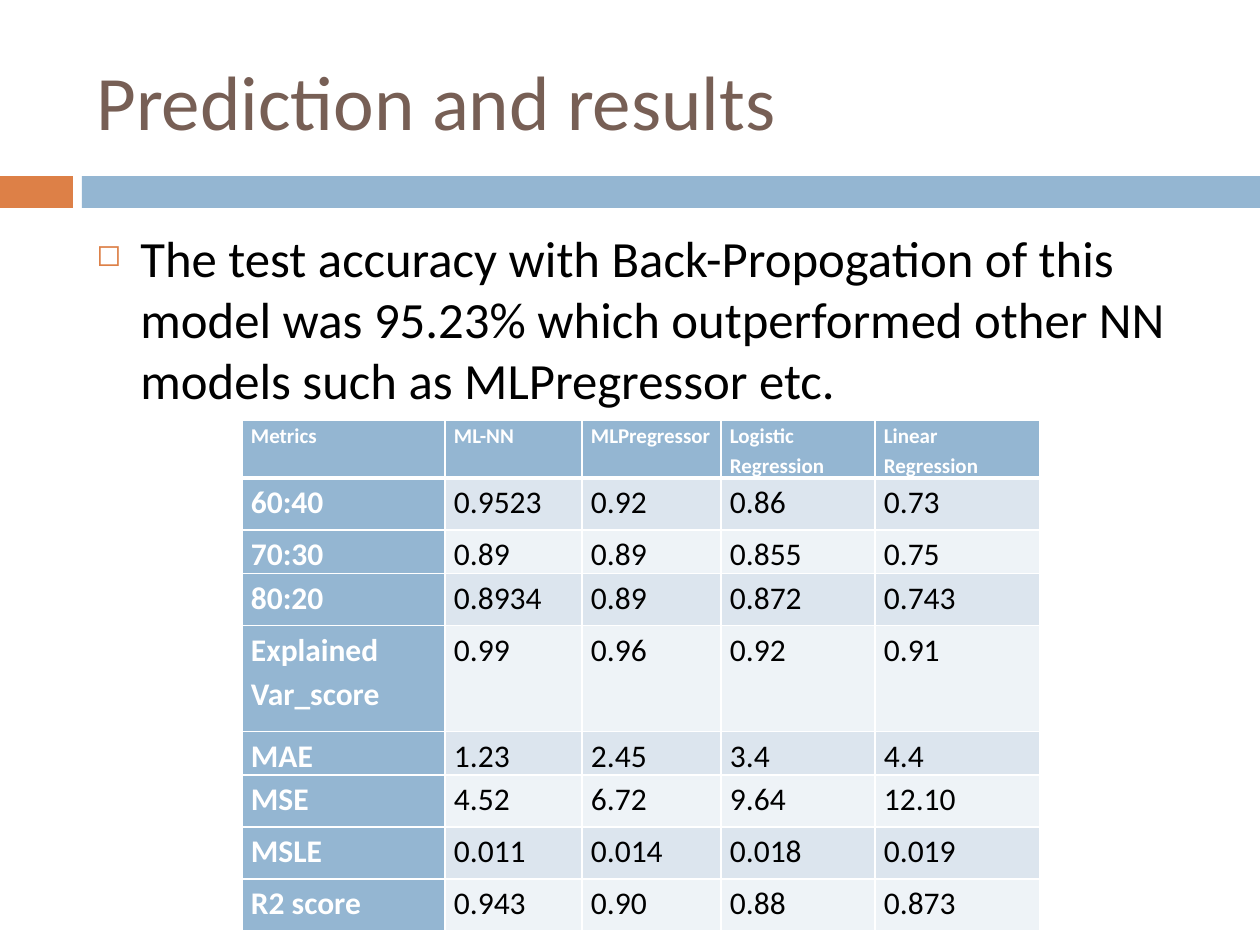
from lxml.etree import SubElement
from pptx import Presentation
from pptx.dml.color import RGBColor
from pptx.enum.shapes import MSO_SHAPE as Shape
from pptx.enum.text import MSO_ANCHOR as Anchor
from pptx.oxml import parse_xml
from pptx.oxml.ns import nsdecls, qn
from pptx.util import Emu, Pt

PX_PER_INCH = 126
BROWN = RGBColor(0x77, 0x5F, 0x55)
ORANGE = RGBColor(0xDD, 0x80, 0x47)
BLUE = RGBColor(0x94, 0xB6, 0xD2)
BAND_DARK = RGBColor(0xDC, 0xE5, 0xEE)
BAND_LIGHT = RGBColor(0xEE, 0xF3, 0xF7)
WHITE = RGBColor(0xFF, 0xFF, 0xFF)
BLACK = RGBColor(0x00, 0x00, 0x00)

COLUMN_WIDTHS = [203, 137, 139, 154, 165]
ROW_HEIGHTS = [52, 52, 38, 52, 106, 38, 52, 52, 52]
TABLE_HEIGHT = 512
RESULTS = [
    ["Metrics", "ML-NN", "MLPregressor", "Logistic Regression", "Linear Regression"],
    ["60:40", "0.9523", "0.92", "0.86", "0.73"],
    ["70:30", "0.89", "0.89", "0.855", "0.75"],
    ["80:20", "0.8934", "0.89", "0.872", "0.743"],
    ["Explained Var_score", "0.99", "0.96", "0.92", "0.91"],
    ["MAE", "1.23", "2.45", "3.4", "4.4"],
    ["MSE", "4.52", "6.72", "9.64", "12.10"],
    ["MSLE", "0.011", "0.014", "0.018", "0.019"],
    ["R2 score", "0.943", "0.90", "0.88", "0.873"],
]


def px(length):
    return Emu(round(length * 914400 / PX_PER_INCH))


def apply(target, values):
    for name, value in values.items():
        setattr(target, name, value)


class SlideBuilder:
    font = "Calibri"

    def __init__(self, page):
        self.page = page

    def span(self, para, text, size, color, bold=False):
        span = para.add_run()
        span.text = text
        apply(span.font, {"name": self.font, "size": Pt(size), "bold": bold})
        span.font.color.rgb = color

    def bar(self, left, top, width, height, color):
        box = self.page.shapes.add_shape(
            Shape.RECTANGLE, px(left), px(top), px(width), px(height))
        box.shadow.inherit = False
        box.fill.solid()
        box.fill.fore_color.rgb = color
        box.line.fill.background()

    def text(self, left, top, width, height, text, size, color, anchor=Anchor.TOP):
        box = self.page.shapes.add_textbox(px(left), px(top), px(width), px(height))
        apply(box.text_frame, {"word_wrap": True, "vertical_anchor": anchor})
        para = box.text_frame.paragraphs[0]
        self.span(para, text, size, color)
        return para

    def bullet(self, para, mark, color, percent, indent):
        para.space_before = Pt(7)
        props = para._p.get_or_add_pPr()
        props.set("marL", str(px(indent)))
        props.set("indent", str(-px(indent)))
        bullet_color = SubElement(props, qn("a:buClr"))
        SubElement(bullet_color, qn("a:srgbClr"), val=str(color))
        SubElement(props, qn("a:buSzPct"), val=str(percent * 1000))
        SubElement(props, qn("a:buChar"), char=mark)

    def borders(self, cell, color, top, bottom):
        props = cell._tc.get_or_add_tcPr()
        widths = {"lnL": 1, "lnR": 1, "lnT": top, "lnB": bottom}
        for index, (side, width) in enumerate(widths.items()):
            props.insert(index, parse_xml(
                f'<a:{side} {nsdecls("a")} w="{Pt(width)}"><a:solidFill>'
                f'<a:srgbClr val="{color}"/></a:solidFill></a:{side}>'))

    def cell(self, cell, text, row, column):
        header, label = row == 0, row == 0 or column == 0
        band = BAND_DARK if row % 2 else BAND_LIGHT
        apply(cell, {"margin_left": px(9), "margin_right": px(9),
                     "margin_top": 0, "margin_bottom": 0})
        cell.fill.solid()
        cell.fill.fore_color.rgb = BLUE if label else band
        self.borders(cell, WHITE, top=3 if row == 1 else 1, bottom=3 if header else 1)
        para = cell.text_frame.paragraphs[0]
        para.line_spacing = 1.15
        self.span(para, text, 12 if header else 18, WHITE if label else BLACK, label)

    def table(self, left, top, height, widths, heights, rows):
        frame = self.page.shapes.add_table(
            len(rows), len(widths), px(left), px(top), px(sum(widths)), px(height))
        table = frame.table
        for column, width in zip(table.columns, widths):
            column.width = px(width)
        for row, row_height in zip(table.rows, heights):
            row.height = px(row_height)
        frame.height = px(height)
        for r, values in enumerate(rows):
            for c, value in enumerate(values):
                self.cell(table.cell(r, c), value, r, c)


def main():
    deck = Presentation()
    apply(deck, {"slide_width": px(1260), "slide_height": px(945)})
    builder = SlideBuilder(deck.slides.add_slide(deck.slide_layouts[6]))

    # Divider under the title
    builder.bar(0, 176, 73, 32, ORANGE)
    builder.bar(82, 176, 1178, 32, BLUE)

    # Title and finding
    builder.text(84, 32, 1124, 136, "Prediction and results", 44, BROWN, Anchor.MIDDLE)
    finding = builder.text(
        84, 221, 1124, 620,
        "The test accuracy with Back-Propogation of this model was 95.23% which "
        "outperformed other NN models such as MLPregressor etc.", 29, BLACK)
    builder.bullet(finding, "◻", ORANGE, 60, 44)

    # Results by model
    builder.table(242, 420, TABLE_HEIGHT, COLUMN_WIDTHS, ROW_HEIGHTS, RESULTS)

    deck.save("out.pptx")


if __name__ == "__main__":
    main()
